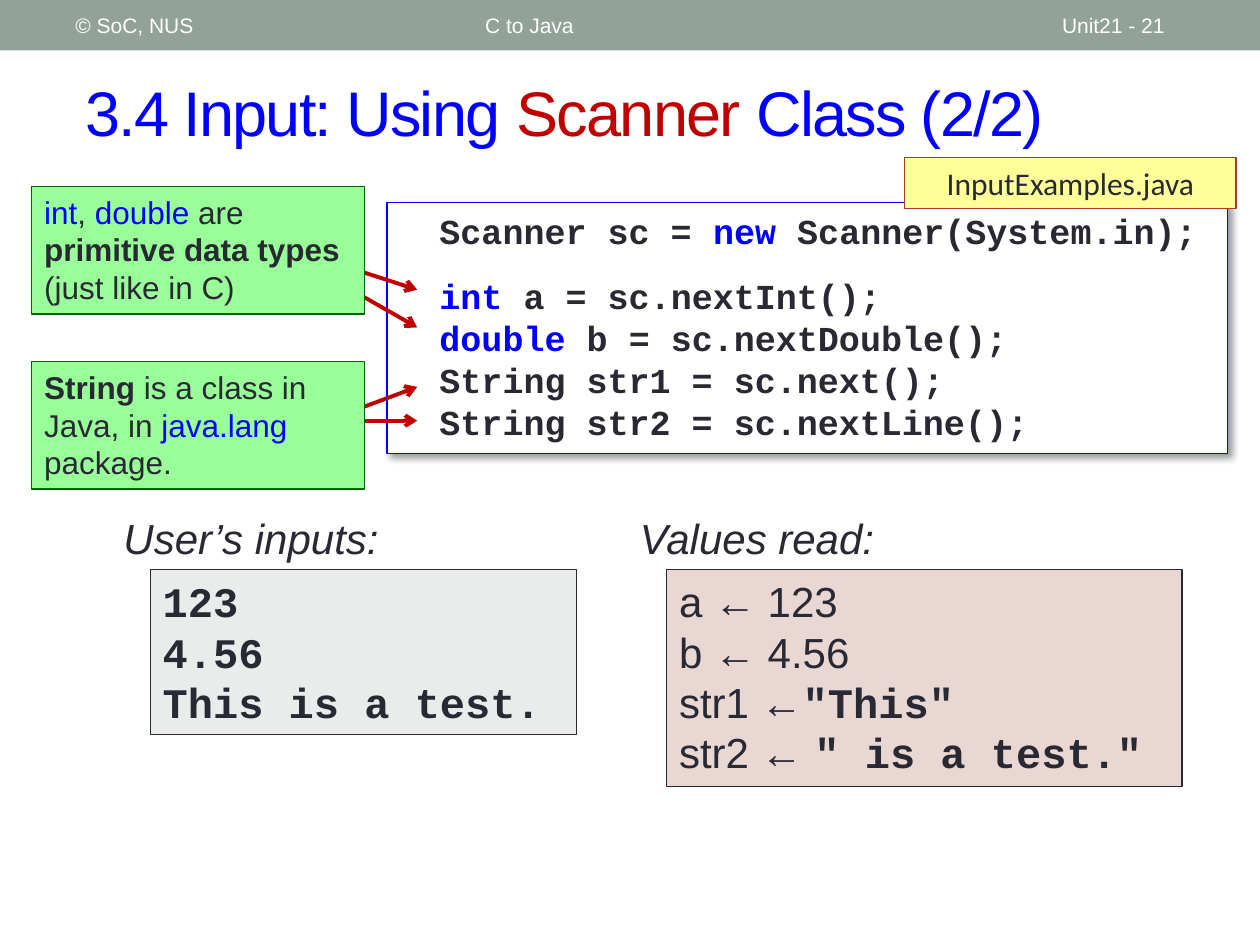
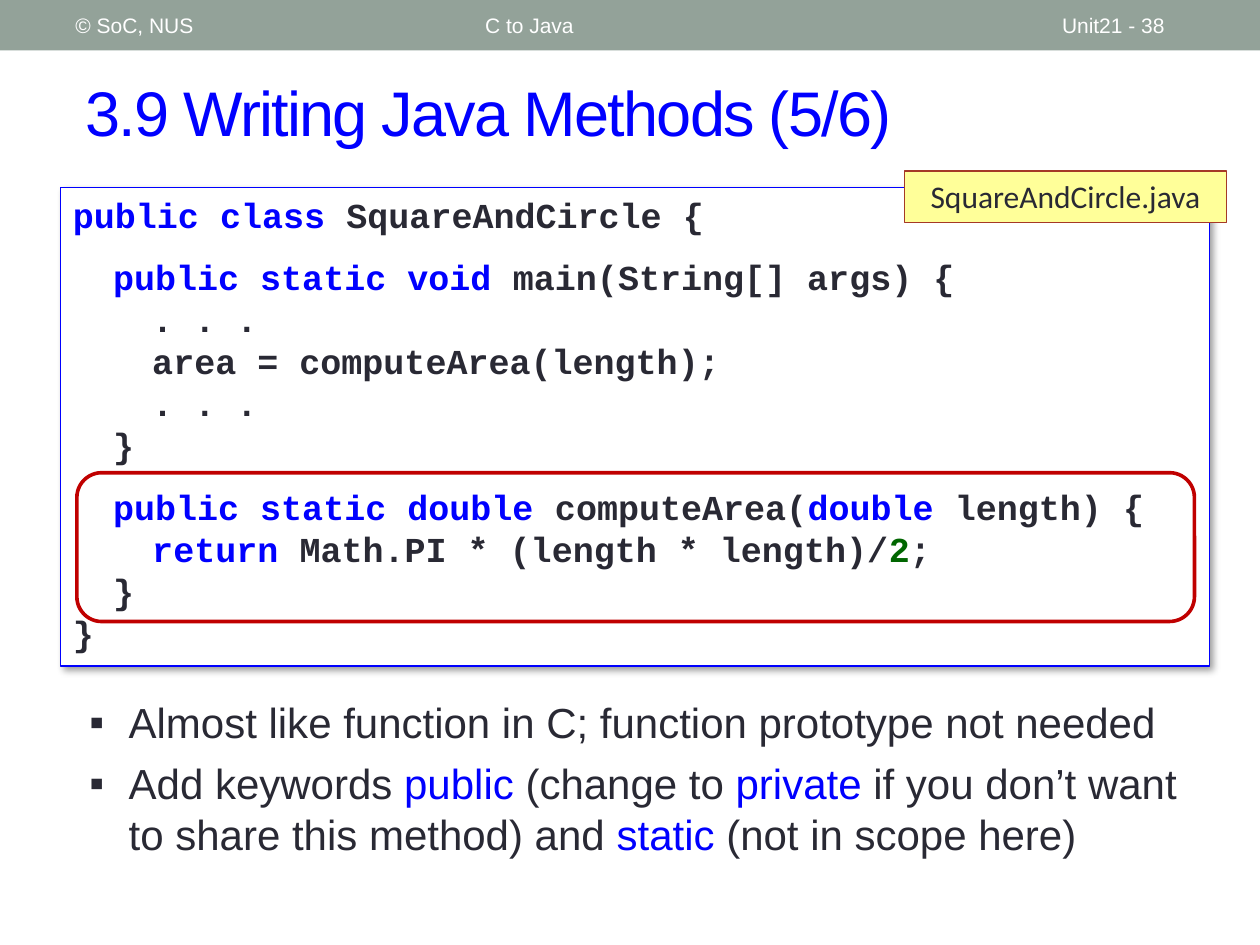
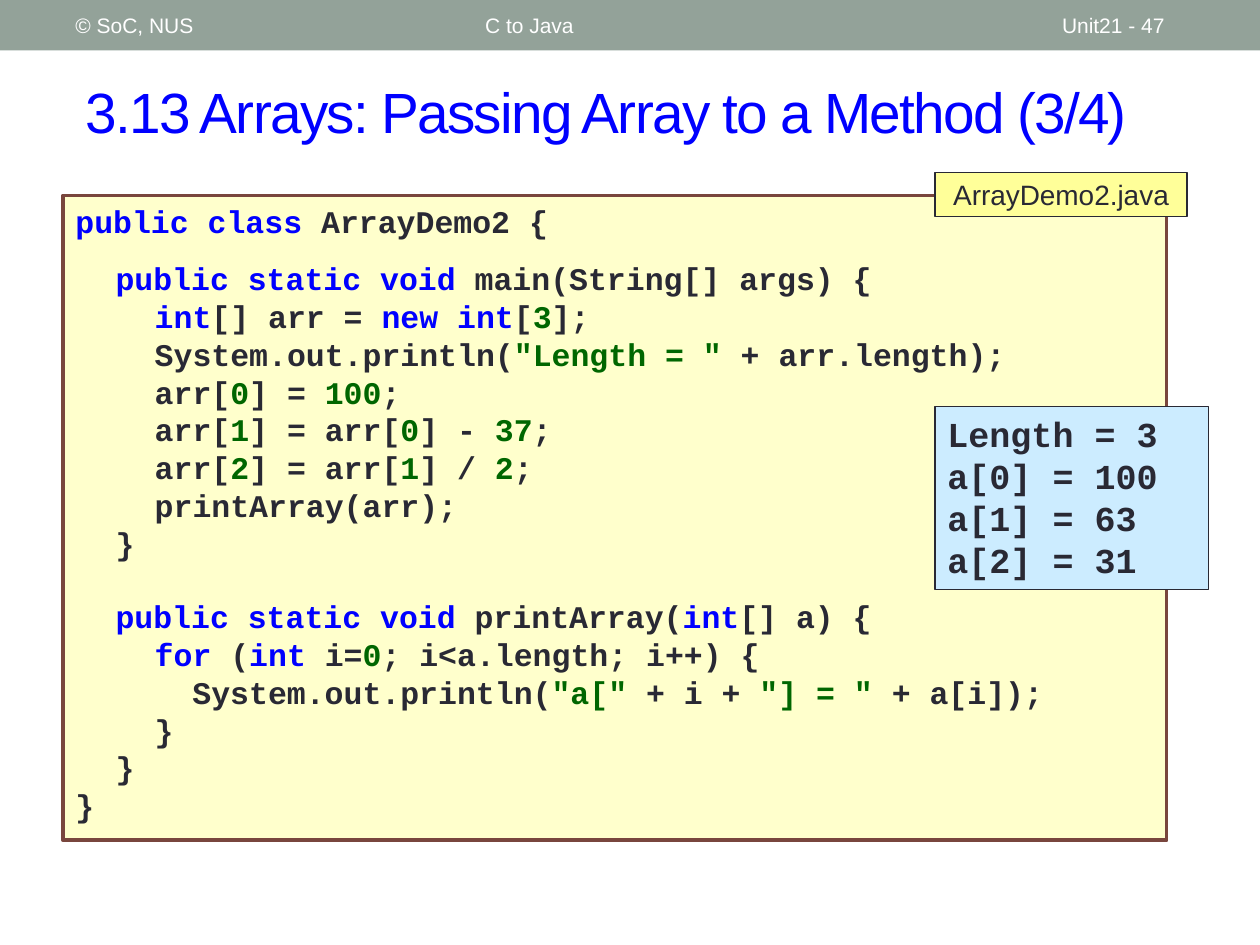
import pptx
import pptx.util
from dataclasses import dataclass
from lxml import etree
from pptx.dml.color import RGBColor
from pptx.enum.shapes import MSO_CONNECTOR, MSO_SHAPE
from pptx.enum.text import MSO_ANCHOR, MSO_AUTO_SIZE, PP_ALIGN
from pptx.oxml.ns import qn
from pptx.util import Cm


@dataclass(frozen=True)
class Theme:
    # Colours
    ink: str = "292934"
    blue: str = "0000FF"
    red: str = "C00000"
    green: str = "006600"
    white: str = "FFFFFF"
    band: str = "93A299"
    note: str = "99FF99"
    label: str = "FFFF99"
    label_line: str = "A53926"
    inputs: str = "E9ECEB"
    values: str = "E9D7D3"
    code: str = "FFFFCC"
    code_line: str = "79463D"
    output: str = "CCECFF"
    # Fonts and sizes
    sans: str = "Arial"
    mono: str = "Courier New"
    label_font: str = "Calibri"
    title: float = 36
    long_title: float = 32.4
    body: float = 24
    listing: float = 20
    small: float = 18
    small_label: float = 16
    footer: float = 12
    # Line widths
    thin: float = 0.75
    frame: float = 2.08
    arrow: float = 2.25


T = Theme()
TABS = (0.81, 1.6, 2.36, 3.18)
CODE = dict(font=T.mono, bold=True)


# Runs that differ from the text around them
def blue(text):
    return text, dict(color=T.blue)


def red(text):
    return text, dict(color=T.red)


def lit(text):
    return text, dict(color=T.green)


def bold(text):
    return text, dict(bold=True)


def mono(text):
    return text, CODE


class Deck:
    def __init__(self, theme):
        self.t = theme
        self.prs = pptx.Presentation()
        self.prs.slide_width, self.prs.slide_height = Cm(25.4), Cm(19.05)
        self.s = None

    # Text
    def paragraph(self, tf, runs, first, size, color=T.ink, font=T.sans, bold=False,
                  italic=False, align=PP_ALIGN.LEFT, before=0, spacing=None):
        p = tf.paragraphs[0] if first else tf.add_paragraph()
        p.alignment = align
        p.space_before = pptx.util.Pt(0 if first else before)
        for run in runs:
            text, change = (run, {}) if isinstance(run, str) else run
            look = dict(color=color, font=font, bold=bold) | change
            r = p.add_run()
            r.text = text
            r.font.size = pptx.util.Pt(size)
            r.font.name = look["font"]
            r.font.bold = look["bold"]
            r.font.italic = italic
            r.font.color.rgb = RGBColor.from_string(look["color"])
            if spacing:
                r._r.get_or_add_rPr().set("spc", str(spacing))
        return p

    def fill_text(self, sp, lines, anchor=MSO_ANCHOR.TOP, **style):
        tf = sp.text_frame
        tf.word_wrap = True
        tf.auto_size = MSO_AUTO_SIZE.NONE
        tf.vertical_anchor = anchor
        return [self.paragraph(tf, runs, i == 0, **style) for i, runs in enumerate(lines)]

    def place(self, sp, box):
        sp.left, sp.top, sp.width, sp.height = map(Cm, box)

    def text(self, box, lines, **style):
        sp = self.s.shapes.add_textbox(*map(Cm, box))
        self.fill_text(sp, lines, **style)

    # Shapes
    def shape(self, box, fill=None, line=None, width=T.thin, kind=MSO_SHAPE.RECTANGLE):
        sp = self.s.shapes.add_shape(kind, *map(Cm, box))
        sp.shadow.inherit = False
        if fill:
            sp.fill.solid()
            sp.fill.fore_color.rgb = RGBColor.from_string(fill)
        else:
            sp.fill.background()
        if line:
            sp.line.color.rgb = RGBColor.from_string(line)
            sp.line.width = pptx.util.Pt(width)
        else:
            sp.line.fill.background()
        return sp

    def box(self, box, lines, fill, line=T.ink, **style):
        self.fill_text(self.shape(box, fill, line), lines, **style)

    def drop_shadow(self, sp):
        effects = sp._element.spPr.find(qn("a:effectLst"))
        shadow = etree.SubElement(effects, qn("a:outerShdw"), blurRad=str(pptx.util.Pt(4)),
                                  dist=str(pptx.util.Pt(3)), dir="2700000", algn="tl",
                                  rotWithShape="0")
        color = etree.SubElement(shadow, qn("a:srgbClr"), val="000000")
        etree.SubElement(color, qn("a:alpha"), val="40000")

    def arrow(self, x1, y1, x2, y2):
        c = self.s.shapes.add_connector(MSO_CONNECTOR.STRAIGHT, *map(Cm, (x1, y1, x2, y2)))
        c.line.color.rgb = RGBColor.from_string(self.t.red)
        c.line.width = pptx.util.Pt(self.t.arrow)
        etree.SubElement(c._element.spPr.find(qn("a:ln")), qn("a:tailEnd"), type="arrow")
        etree.SubElement(c._element.spPr, qn("a:effectLst"))

    # Slide with its band, footers and title
    def slide(self, number, title, size=T.title, body=False):
        self.s = self.prs.slides.add_slide(self.prs.slide_layouts[1 if body else 5])
        self.shape((0, 0, 25.4, 1.02), self.t.band)
        for x, w, words in ((9.53, 11.43, "C to Java"), (21.16, 2.97, f"Unit21 - {number}"),
                            (1.27, 8.05, "© SoC, NUS")):
            self.text((x, 0.05, w, 0.91), [[words]], anchor=MSO_ANCHOR.MIDDLE,
                      size=self.t.footer, color=self.t.white)
        sp = self.s.shapes.title
        self.place(sp, (1.47, 1.07, 23.29, 2.34))
        self.fill_text(sp, [title], anchor=MSO_ANCHOR.MIDDLE, size=size, color=self.t.blue,
                       spacing=-100)

    def bullets(self, box, lines):
        sp = self.s.placeholders[1]
        self.place(sp, box)
        for p in self.fill_text(sp, lines, size=self.t.body, before=6):
            pPr = p._p.get_or_add_pPr()
            pPr.set("marL", str(Cm(0.79)))
            pPr.set("indent", str(-Cm(0.79)))
            etree.SubElement(pPr, qn("a:buChar"), char="▪")

    # Code listing: groups of lines, with a gap in points before each later group
    def code(self, box, groups, gaps, size=T.listing, fill=T.white, line=T.blue,
             width=T.thin, shadow=True):
        sp = self.shape(box, fill, line, width)
        if shadow:
            self.drop_shadow(sp)
        lines = [runs for group in groups for runs in group]
        paragraphs = self.fill_text(sp, lines, size=size, **CODE)
        start = 0
        for group, gap in zip(groups, gaps):
            start += len(group)
            paragraphs[start].space_before = pptx.util.Pt(gap)
        for p in paragraphs:
            tabs = etree.SubElement(p._p.get_or_add_pPr(), qn("a:tabLst"))
            for stop in TABS:
                etree.SubElement(tabs, qn("a:tab"), pos=str(Cm(stop)), algn="l")

    def file_label(self, box, name, line=T.label_line, size=T.small, font=T.label_font,
                   anchor=MSO_ANCHOR.TOP):
        self.box(box, [[name]], self.t.label, line, size=size, font=font, anchor=anchor,
                 align=PP_ALIGN.CENTER)

    def note(self, y, runs, arrows):
        for y1, y2 in arrows:
            self.arrow(6.99, y1, 8.41, y2)
        self.box((0.64, y, 6.71, 2.57), [runs], self.t.note, self.t.green, size=self.t.small)

    def panel(self, x, heading, width, height, lines, fill, **style):
        self.text((x, 10.21, 6.15, 1.27), [[heading]], size=self.t.body, italic=True)
        self.box((x + 0.79, 11.48, width, height), lines, fill, size=self.t.body, **style)


def scanner_slide(d):
    d.slide(21, ["3.4 Input: Using ", red("Scanner"), " Class (2/2)"])
    d.panel(2.24, "User’s inputs:", 8.59, 3.33,
            [["123"], ["4.56"], ["This is a test."]], T.inputs, **CODE)
    d.panel(12.65, "Values read:", 10.39, 4.37,
            [["a ← 123"], ["b ← 4.56"], ["str1 ←", mono('"This"')],
             ["str2 ← ", mono('" is a test."')]], T.values)
    d.code((7.8, 4.09, 16.94, 5.05), [
        [["\tScanner sc = ", blue("new "), "Scanner(System.in);"]],
        [["\t", blue("int "), "a = sc.nextInt();"],
         ["\t", blue("double"), " b = sc.nextDouble();"],
         ["\tString str1 = sc.next();"],
         ["\tString str2 = sc.nextLine();"]],
    ], gaps=[13.6])
    d.file_label((18.24, 3.18, 6.68, 1.02), "InputExamples.java")
    d.note(7.29, [bold("String"), " is a class in Java, in ", blue("java.lang"), " package."],
           [(8.33, 7.8), (8.48, 8.48)])
    d.note(3.76, [blue("int"), ", ", blue("double"), " are ", bold("primitive data types "),
                  "(just like in C)"], [(5.38, 5.84), (5.79, 6.6)])


def methods_slide(d):
    d.slide(38, ["3.9 Writing Java Methods (5/6)"], body=True)
    d.code((1.22, 3.78, 23.16, 9.65), [
        [[blue("public class "), "SquareAndCircle {"]],
        [["\t", blue("public static void "), "main(String[] args) {"],
         ["\t\t. . ."],
         ["\t\tarea = computeArea(length);"],
         ["\t\t. . ."],
         ["\t}"]],
        [[blue("\tpublic static double "), "computeArea(", blue("double "), "length) {"],
         ["\t\t", blue("return"), " Math.PI * (length * length)/", lit("2"), ";"],
         ["\t}"],
         ["}"]],
    ], gaps=[11.3, 11.3])
    d.file_label((18.24, 3.45, 6.48, 1.04), "SquareAndCircle.java")
    d.bullets((1.55, 13.92, 22.53, 3.56), [
        ["Almost like function in C; function prototype not needed"],
        ["Add keywords ", blue("public"), " (change to ", blue("private"),
         " if you don’t want to share this method) and ", blue("static"),
         " (not in scope here)"],
    ])
    d.shape((1.55, 9.53, 22.53, 3), line=T.red, width=T.frame,
            kind=MSO_SHAPE.ROUNDED_RECTANGLE)


def arrays_slide(d):
    d.slide(47, ["3.13 Arrays: Passing Array to a Method (3/4)"], size=T.long_title)
    d.code((1.27, 3.94, 22.25, 13), [
        [[blue("public class"), " ArrayDemo2 {"]],
        [["\t", blue("public static void "), "main(String[] args) {"],
         ["\t\t", blue("int"), "[] arr = ", blue("new int"), "[", lit("3"), "];"],
         ["\t\tSystem.out.println(", lit('"Length = " '), "+ arr.length);"],
         ["\t\tarr[", lit("0"), "] = ", lit("100"), ";"],
         ["\t\tarr[", lit("1"), "] = arr[", lit("0"), "] - ", lit("37"), ";"],
         ["\t\tarr[", lit("2"), "] = arr[", lit("1"), "] / ", lit("2"), ";"],
         ["\t\tprintArray(arr);"],
         ["\t}"]],
        [["\t", blue("public static void "), "printArray(", blue("int"), "[] a) {"],
         ["\t\t", blue("for "), "(", blue("int"), " i=", lit("0"), "; i<a.length; i++) {"],
         ["\t\t\tSystem.out.println(", lit('"a[" '), "+ i + ", lit('"] = " '), "+ a[i]);"],
         ["\t\t}"],
         ["\t}"],
         ["}"]],
    ], gaps=[11.3, 20.4], size=T.small, fill=T.code, line=T.code_line, width=T.frame,
        shadow=False)
    d.file_label((18.85, 3.48, 5.08, 0.89), "ArrayDemo2.java", line=T.ink,
                 size=T.small_label, font=T.sans, anchor=MSO_ANCHOR.MIDDLE)
    d.box((18.85, 8.2, 5.51, 3.68),
          [["Length = 3"], ["a[0] = 100"], ["a[1] = 63"], ["a[2] = 31"]],
          T.output, size=T.listing, **CODE)


def main():
    d = Deck(T)
    scanner_slide(d)
    methods_slide(d)
    arrays_slide(d)
    d.prs.save("out.pptx")


if __name__ == "__main__":
    main()
